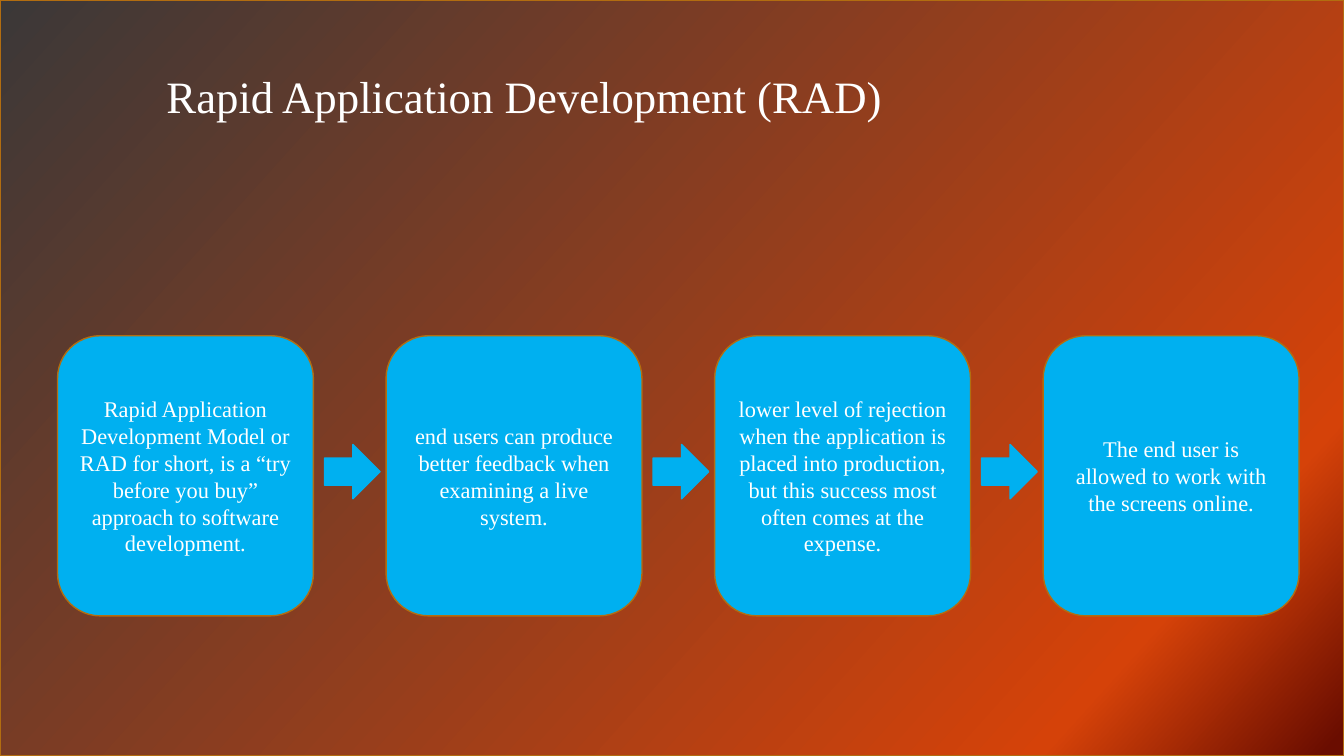
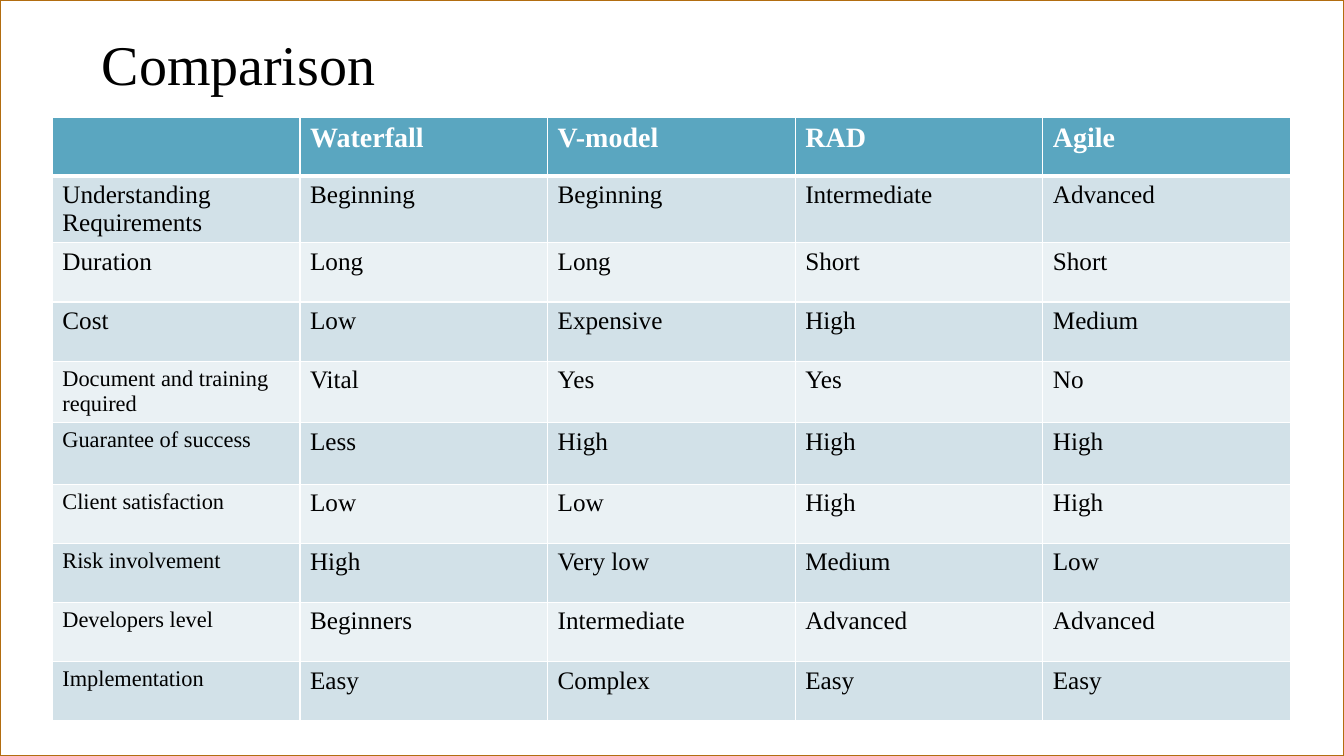
"""Build two slides on software development models."""
from copy import deepcopy

from pptx import Presentation
from pptx.dml.color import RGBColor
from pptx.enum.shapes import MSO_SHAPE
from pptx.enum.text import MSO_ANCHOR, MSO_AUTO_SIZE, PP_ALIGN
from pptx.oxml import parse_xml
from pptx.oxml.ns import nsdecls, qn
from pptx.util import Cm, Pt

FONT = "Times New Roman"
WHITE = RGBColor(0xFF, 0xFF, 0xFF)
BLACK = RGBColor(0x00, 0x00, 0x00)
BRONZE = RGBColor(0xB2, 0x6D, 0x10)
SKY = RGBColor(0x00, 0xB0, 0xF0)
CHARCOAL = RGBColor(0x3B, 0x38, 0x38)
ORANGE = RGBColor(0xD5, 0x42, 0x09)
MAROON = RGBColor(0x6A, 0x0D, 0x00)
TEAL = RGBColor(0x5A, 0xA6, 0xC0)
BAND_DARK = RGBColor(0xD2, 0xE1, 0xE8)
BAND_LIGHT = RGBColor(0xEA, 0xF1, 0xF4)

SLIDE_WIDTH, SLIDE_HEIGHT = 33.87, 19.05
TITLE_ONLY = 5

CARD_TEXTS = [
    "Rapid Application Development Model or RAD for short, is a “try before you buy” "
    "approach to software development.",
    "end users can produce better feedback when examining a live system.",
    "lower level of rejection when the application is placed into production, "
    "but this success most often comes at the expense.",
    "The end user is allowed to work with the screens online.",
]
CARD_LEFT, CARD_TOP, CARD_WIDTH, CARD_HEIGHT = 1.45, 8.46, 6.45, 7.06
CARD_STEP = 8.28
ARROW_OFFSET, ARROW_TOP, ARROW_WIDTH, ARROW_HEIGHT = 6.73, 11.2, 1.4, 1.37

COMPARISON = [
    ["", "Waterfall", "V-model", "RAD", "Agile"],
    ["Understanding\nRequirements", "Beginning", "Beginning", "Intermediate", "Advanced"],
    ["Duration", "Long", "Long", "Short", "Short"],
    ["Cost", "Low", "Expensive", "High", "Medium"],
    ["Document and training required", "Vital", "Yes", "Yes", "No"],
    ["Guarantee of success", "Less", "High", "High", "High"],
    ["Client satisfaction", "Low", "Low", "High", "High"],
    ["Risk involvement", "High", "Very low", "Medium", "Low"],
    ["Developers level", "Beginners", "Intermediate", "Advanced", "Advanced"],
    ["Implementation", "Easy", "Complex", "Easy", "Easy"],
]
ROW_HEIGHTS = [1.49, 1.68, 1.49, 1.49, 1.55, 1.55, 1.49, 1.49, 1.49, 1.49]
COLUMN_WIDTH = 6.24
FIRST_SMALL_LABEL = 4


class Deck:
    """Hold the shared style and the current slide."""

    def __init__(self):
        """Start an empty widescreen presentation."""
        self.presentation = Presentation()
        self.presentation.slide_width = Cm(SLIDE_WIDTH)
        self.presentation.slide_height = Cm(SLIDE_HEIGHT)
        self.slide = None

    def style_text(self, text_frame, size, color, bold=False, alignment=PP_ALIGN.LEFT):
        """Format every paragraph of a text frame."""
        for paragraph in text_frame.paragraphs:
            paragraph.alignment = alignment
            paragraph.font.name = FONT
            paragraph.font.size = Pt(size)
            paragraph.font.bold = bold
            paragraph.font.color.rgb = color

    def shape(self, kind, left, top, width, height, fill, line):
        """Add a flat preset shape."""
        shape = self.slide.shapes.add_shape(kind, Cm(left), Cm(top), Cm(width), Cm(height))
        shape.shadow.inherit = False
        shape.fill.solid()
        shape.fill.fore_color.rgb = fill
        shape.line.color.rgb = line
        shape.line.width = Pt(1)
        return shape

    def add_slide(self, title_text, title_box, size, color):
        """Start a slide with a framed backdrop behind its title."""
        layout = self.presentation.slide_layouts[TITLE_ONLY]
        self.slide = self.presentation.slides.add_slide(layout)
        title = self.slide.shapes.title
        title.left, title.top, title.width, title.height = map(Cm, title_box)
        title.text_frame.text = title_text
        title.text_frame.auto_size = MSO_AUTO_SIZE.NONE
        title.text_frame.vertical_anchor = MSO_ANCHOR.MIDDLE
        self.style_text(title.text_frame, size, color)
        backdrop = self.shape(MSO_SHAPE.RECTANGLE, 0, 0, SLIDE_WIDTH, SLIDE_HEIGHT, WHITE, BRONZE)
        title.element.addprevious(backdrop.element)
        return backdrop

    def gradient(self, shape, angle, colors, positions):
        """Fill a shape with a three-stop gradient running clockwise from the left."""
        shape.fill.gradient()
        shape.fill.gradient_angle = 360 - angle
        last_stop = list(shape.element.iter(qn("a:gs")))[-1]
        last_stop.addprevious(deepcopy(last_stop))
        for stop, color, position in zip(shape.fill.gradient_stops, colors, positions):
            stop.color.rgb = color
            stop.position = position

    def card(self, left, text):
        """Add a rounded card with centred text."""
        card = self.shape(MSO_SHAPE.ROUNDED_RECTANGLE, left, CARD_TOP, CARD_WIDTH, CARD_HEIGHT,
                          SKY, BRONZE)
        card.text_frame.text = text
        card.text_frame.word_wrap = True
        card.text_frame.vertical_anchor = MSO_ANCHOR.MIDDLE
        self.style_text(card.text_frame, 16, WHITE, alignment=PP_ALIGN.CENTER)

    def arrow(self, left):
        """Add a block arrow between two cards."""
        self.shape(MSO_SHAPE.RIGHT_ARROW, left, ARROW_TOP, ARROW_WIDTH, ARROW_HEIGHT, SKY, SKY)

    def table(self, left, top, rows):
        """Add a banded table with a header row."""
        column_count = len(rows[0])
        frame = self.slide.shapes.add_table(
            len(rows), column_count, Cm(left), Cm(top),
            Cm(COLUMN_WIDTH * column_count), Cm(sum(ROW_HEIGHTS)))
        table = frame.table
        for column in table.columns:
            column.width = Cm(COLUMN_WIDTH)
        for row_index, values in enumerate(rows):
            table.rows[row_index].height = Cm(ROW_HEIGHTS[row_index])
            header = row_index == 0
            band = TEAL if header else BAND_DARK if row_index % 2 else BAND_LIGHT
            for column_index, value in enumerate(values):
                cell = table.cell(row_index, column_index)
                cell.text = value
                cell.fill.solid()
                cell.fill.fore_color.rgb = band
                small = column_index == 0 and row_index >= FIRST_SMALL_LABEL
                size = 20 if header else 16 if small else 18
                self.style_text(cell.text_frame, size, WHITE if header else BLACK, header)
        self.borders(frame)

    def borders(self, frame):
        """Draw white cell borders, thick below the header."""
        for row_index, row in enumerate(frame.element.iter(qn("a:tr"))):
            widths = {"L": 1, "R": 1, "T": 3 if row_index == 1 else 1,
                      "B": 3 if row_index == 0 else 1}
            for properties in row.iter(qn("a:tcPr")):
                for position, (side, width) in enumerate(widths.items()):
                    properties.insert(position, parse_xml(
                        f'<a:ln{side} {nsdecls("a")} w="{Pt(width)}"><a:solidFill>'
                        f'<a:srgbClr val="{WHITE}"/></a:solidFill></a:ln{side}>'))


def build_development_slide(deck):
    """Show the RAD model as a row of linked cards."""
    backdrop = deck.add_slide("Rapid Application Development (RAD)",
                              (3.94, 1.6, 22.94, 1.63), 32, WHITE)
    deck.gradient(backdrop, 42, (CHARCOAL, ORANGE, MAROON), (0, 0.85, 0.99))
    for index, text in enumerate(CARD_TEXTS):
        left = CARD_LEFT + index * CARD_STEP
        deck.card(left, text)
        if index < len(CARD_TEXTS) - 1:
            deck.arrow(left + ARROW_OFFSET)


def build_comparison_slide(deck):
    """Compare the models in a table."""
    deck.add_slide("Comparison", (2.31, 0.61, 17.81, 1.96), 40, BLACK)
    deck.table(1.32, 2.95, COMPARISON)


deck = Deck()
build_development_slide(deck)
build_comparison_slide(deck)
deck.presentation.save("out.pptx")
